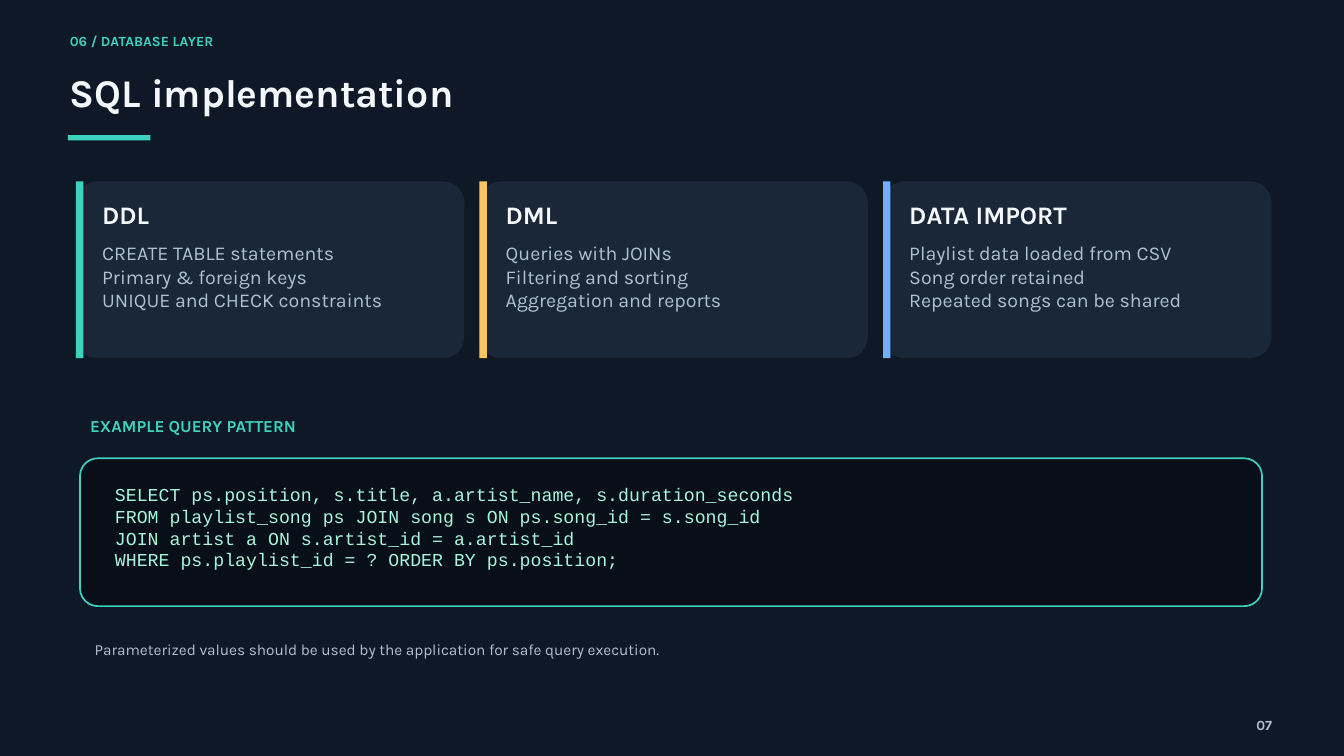
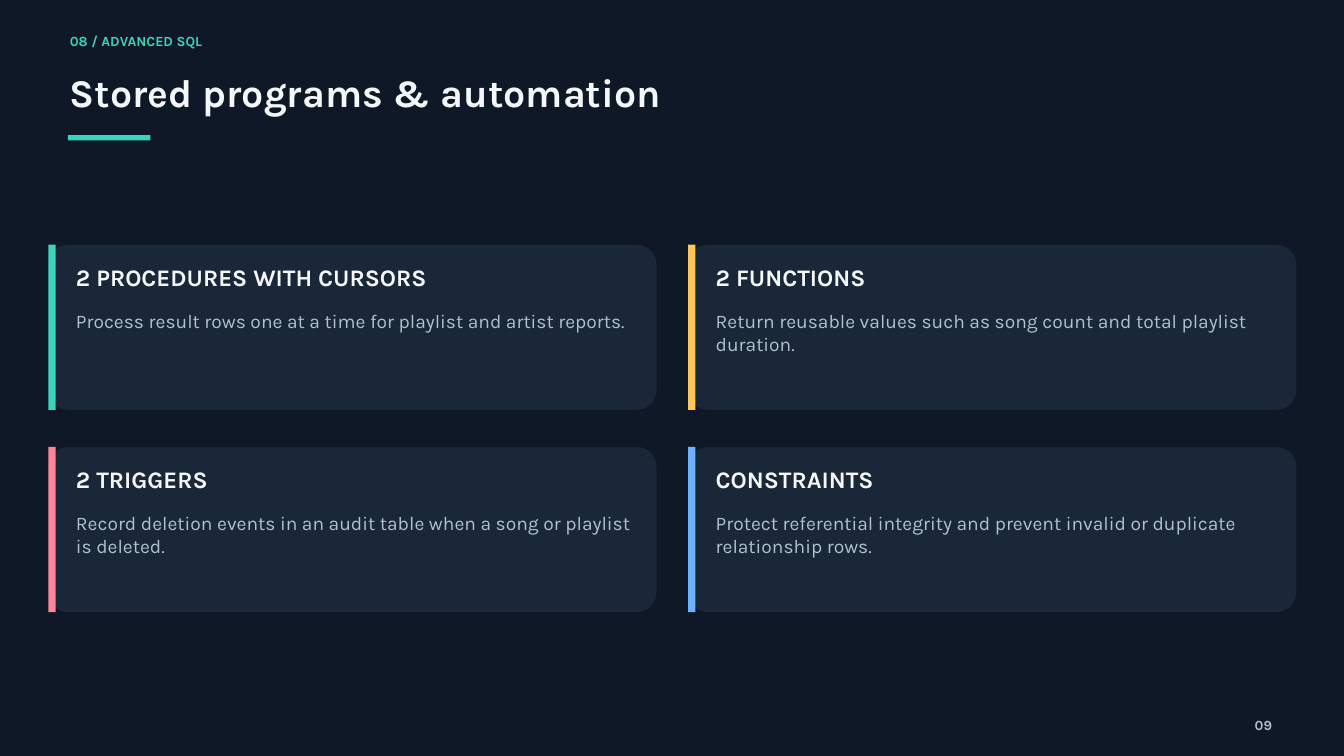
from pptx import Presentation
from pptx.dml.color import RGBColor
from pptx.enum.shapes import MSO_SHAPE
from pptx.enum.text import MSO_AUTO_SIZE, PP_ALIGN
from pptx.util import Inches, Pt

HUES = {
    "night": "0F1826", "card": "192739", "code": "080F19",
    "teal": "3CD2BE", "gold": "FFC65C", "rose": "FF849B", "blue": "70B1FF",
    "white": "F5F8FA", "grey": "B1C1CD", "mint": "A6F5DA",
}
SANS, MONO = "Karla", "Courier New"

# role: (font, size, bold, colour)
STYLES = {
    "kicker": (SANS, 15, True, "teal"),
    "title": (SANS, 42, True, "white"),
    "page": (SANS, 15, True, "grey"),
    "label": (SANS, 18, True, "teal"),
    "code": (MONO, 19.5, False, "mint"),
    "note": (SANS, 16.5, False, "grey"),
    "head": (SANS, 27, True, "white"),
    "body": (SANS, 21, False, "grey"),
    "head wide": (SANS, 25.4, True, "white"),
    "body wide": (SANS, 20.6, False, "grey"),
}
LEADING = 1.2
ROUND = 0.12

# Offsets of the text inside a card
SLIM = {"pad": 0.39, "head": (0.26, 0.47), "body": (0.89, 1.56), "kind": ""}
WIDE = {"pad": 0.41, "head": (0.27, 0.49), "body": (0.96, 1.32), "kind": " wide"}


def tint(name):
    return RGBColor.from_string(HUES[name])


def text(slide, box, role, lines, align=PP_ALIGN.LEFT):
    """Write one paragraph per line in the given role's style."""
    face, size, bold, hue = STYLES[role]
    frame = slide.shapes.add_textbox(*map(Inches, box)).text_frame
    setup = {
        "margin_left": 0, "margin_top": 0, "margin_right": 0,
        "margin_bottom": 0, "word_wrap": True,
        "auto_size": MSO_AUTO_SIZE.SHAPE_TO_FIT_TEXT,
    }
    for key, value in setup.items():
        setattr(frame, key, value)
    frame.text = "\n".join(lines)
    for para in frame.paragraphs:
        para.alignment = align
        para.line_spacing = Pt(round(size * LEADING, 1))
        font = para.runs[0].font
        for key, value in {"name": face, "size": Pt(size), "bold": bold}.items():
            setattr(font, key, value)
        font.color.rgb = tint(hue)


def block(slide, box, hue, edge=None, soft=False):
    """Draw a filled box, with rounded corners if soft."""
    kind = MSO_SHAPE.ROUNDED_RECTANGLE if soft else MSO_SHAPE.RECTANGLE
    shape = slide.shapes.add_shape(kind, *map(Inches, box))
    shape.shadow.inherit = False
    shape.fill.solid()
    shape.fill.fore_color.rgb = tint(hue)
    if soft:
        shape.adjustments[0] = ROUND
    if edge:
        shape.line.color.rgb = tint(edge)
        shape.line.width = Pt(1.8)
    else:
        shape.line.fill.background()


def base(deck, kicker, title, page):
    """Add a slide with the shared background, heading and page number."""
    slide = deck.slides.add_slide(deck.slide_layouts[6])
    fill = slide.background.fill
    fill.solid()
    fill.fore_color.rgb = tint("night")
    text(slide, (1.04, 0.48, 11.89, 0.32), "kicker", [kicker])
    text(slide, (1.04, 1.01, 17.89, 0.81), "title", [title])
    block(slide, (1.01, 2.01, 1.23, 0.08), "teal")
    text(slide, (18.3, 10.66, 0.63, 0.21), "page", [page], PP_ALIGN.RIGHT)
    return slide


def card(slide, box, form, hue, head, lines):
    left, top, width, height = box
    block(slide, box, "card", soft=True)
    block(slide, (left, top, 0.11, height), hue)
    for part, words in (("head", [head]), ("body", lines)):
        drop, tall = form[part]
        area = (left + form["pad"], top + drop, width - 2 * form["pad"] + 0.05, tall)
        text(slide, area, part + form["kind"], words)


def grid(slide, box, cols, size, form, cards):
    """Spread cards of one size evenly over the box."""
    left, top, width, height = box
    wide, tall = size
    rows = len(cards) // cols
    across = (width - wide) / max(cols - 1, 1)
    down = (height - tall) / max(rows - 1, 1)
    for i, item in enumerate(cards):
        row, col = divmod(i, cols)
        spot = (left + col * across, top + row * down, wide, tall)
        card(slide, spot, form, *item)


def query(slide, box, label, lines, note):
    """Show a labelled code panel with a note below it."""
    left, top, width, height = box
    text(slide, (left + 0.15, top - 0.64, width - 0.9, 0.39), "label", [label])
    block(slide, box, "code", edge="teal", soft=True)
    text(slide, (left + 0.52, top + 0.37, width - 1.2, 1.41), "code", lines)
    under = top + height + 0.5
    text(slide, (left + 0.22, under, width - 0.75, 0.39), "note", [note])


def layer(deck):
    slide = base(deck, "06 / DATABASE LAYER", "SQL implementation", "07")
    grid(slide, (1.13, 2.7, 17.79, 2.63), 3, (5.78, 2.63), SLIM, [
        ("teal", "DDL", ["CREATE TABLE statements", "Primary & foreign keys",
                         "UNIQUE and CHECK constraints"]),
        ("gold", "DML", ["Queries with JOINs", "Filtering and sorting",
                         "Aggregation and reports"]),
        ("blue", "DATA IMPORT", ["Playlist data loaded from CSV",
                                 "Song order retained",
                                 "Repeated songs can be shared"]),
    ])
    query(slide, (1.19, 6.82, 17.59, 2.2), "EXAMPLE QUERY PATTERN", [
        "SELECT ps.position, s.title, a.artist_name, s.duration_seconds",
        "FROM playlist_song ps JOIN song s ON ps.song_id = s.song_id",
        "JOIN artist a ON s.artist_id = a.artist_id",
        "WHERE ps.playlist_id = ? ORDER BY ps.position;",
    ], "Parameterized values should be used by the application "
       "for safe query execution.")


def stored(deck):
    slide = base(deck, "08 / ADVANCED SQL", "Stored programs & automation", "09")
    grid(slide, (0.72, 3.64, 18.57, 5.47), 2, (9.05, 2.46), WIDE, [
        ("teal", "2 PROCEDURES WITH CURSORS",
         ["Process result rows one at a time for playlist and artist reports."]),
        ("gold", "2 FUNCTIONS",
         ["Return reusable values such as song count and total playlist "
          "duration."]),
        ("rose", "2 TRIGGERS",
         ["Record deletion events in an audit table when a song or playlist "
          "is deleted."]),
        ("blue", "CONSTRAINTS",
         ["Protect referential integrity and prevent invalid or duplicate "
          "relationship rows."]),
    ])


def main():
    deck = Presentation()
    deck.slide_width = Inches(20)
    deck.slide_height = Inches(11.25)
    layer(deck)
    stored(deck)
    deck.save("out.pptx")


if __name__ == "__main__":
    main()
